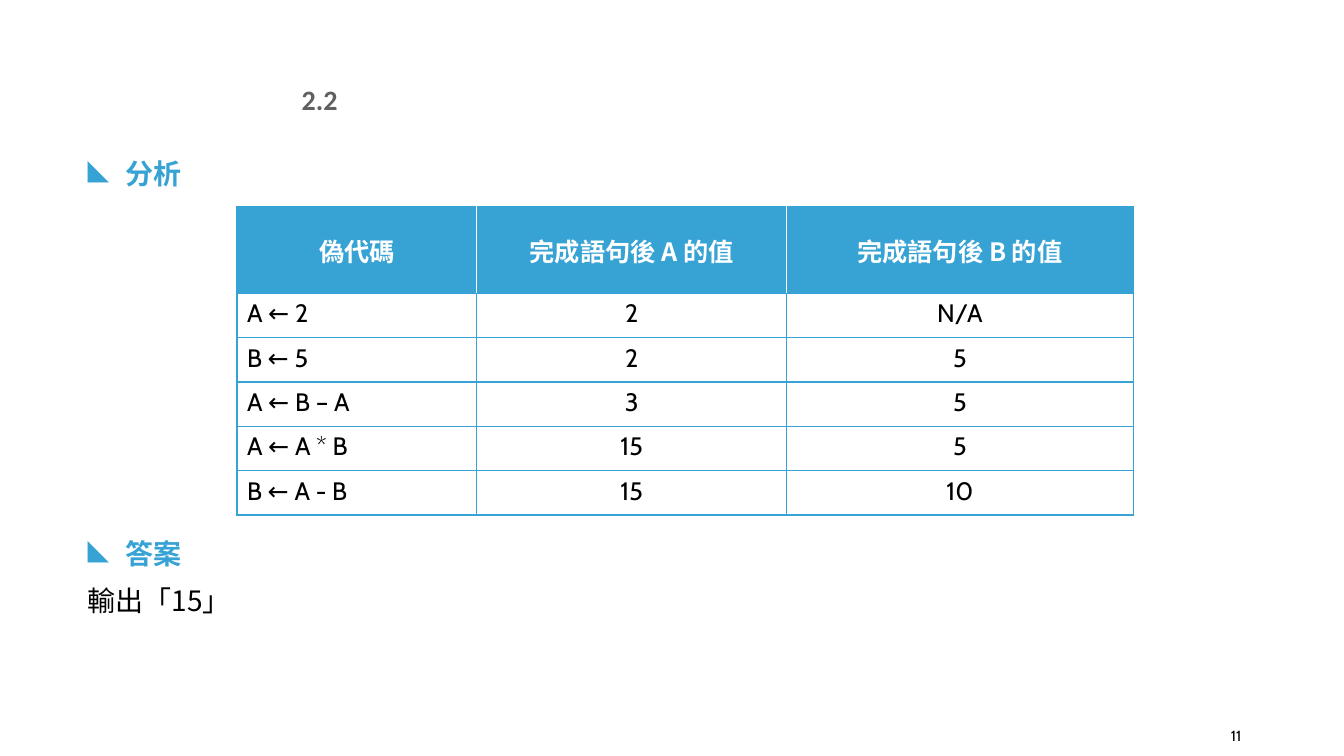
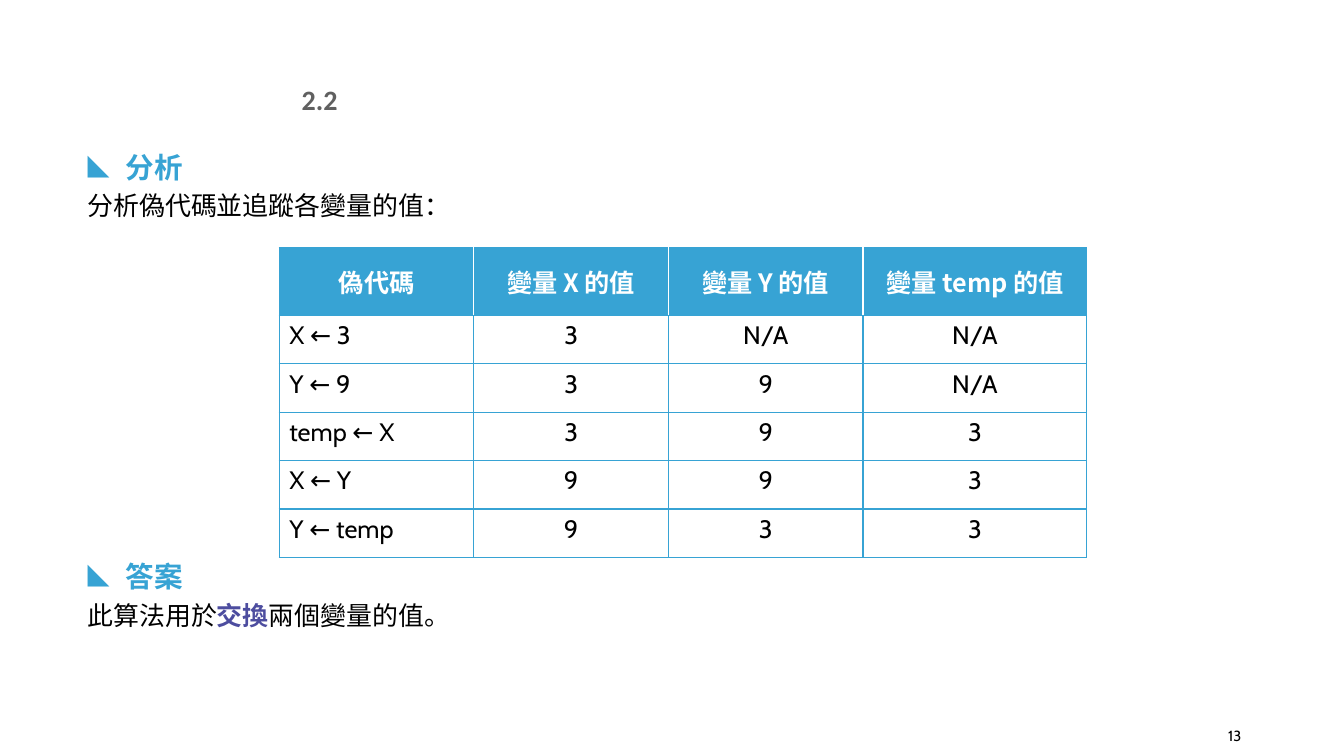
from dataclasses import dataclass

from lxml.etree import SubElement
from pptx import Presentation
from pptx.dml.color import RGBColor
from pptx.enum.text import MSO_ANCHOR, PP_ALIGN
from pptx.oxml.ns import qn
from pptx.util import Emu, Pt

EMU_PER_PX = 9144


@dataclass(frozen=True)
class Theme:
    accent: str = "37A3D4"
    highlight: str = "4D4D9F"
    ink: str = "000000"
    muted: str = "606060"
    paper: str = "FFFFFF"
    cjk: str = "Noto Sans CJK TC"
    latin: str = "Cabin"
    label: str = "Calibri"
    label_size: float = 20
    table_size: float = 18
    page_size: float = 10.5
    border: float = 1


THEME = Theme()


def px(length):
    return Emu(length * EMU_PER_PX)


def style_run(run, size, color, family, bold=False):
    run.font.size = Pt(size)
    run.font.bold = bold
    run.font.color.rgb = RGBColor.from_string(color)
    run.font.name = family
    SubElement(run.font._element, qn("a:ea"), typeface=family)


def add_run(paragraph, text, *style):
    run = paragraph.add_run()
    run.text = text
    style_run(run, *style)


def add_box(slide, left, top, width, height):
    frame = slide.shapes.add_textbox(*map(px, (left, top, width, height))).text_frame
    frame.word_wrap = True
    return frame


def add_label(slide, place, text, align, *style):
    frame = add_box(slide, *place)
    frame.vertical_anchor = MSO_ANCHOR.MIDDLE
    frame.margin_top = frame.margin_bottom = 0
    paragraph = frame.paragraphs[0]
    paragraph.alignment = align
    add_run(paragraph, text, *style)


def add_bullet(paragraph, symbol):
    properties = paragraph._p.get_or_add_pPr()
    properties.set("marL", str(px(38)))
    properties.set("indent", str(px(-38)))
    SubElement(properties, qn("a:buChar"), char=symbol)


def add_section(slide, top, heading, heading_size, body=(), body_size=20, gap=10):
    frame = add_box(slide, 77, top, 1150, 100 if body else 50)
    title = frame.paragraphs[0]
    add_bullet(title, "◣")
    add_run(title, heading, heading_size, THEME.accent, THEME.cjk, True)
    if body:
        paragraph = frame.add_paragraph()
        paragraph.space_before = Pt(gap)
        for text, emphasized in body:
            color = THEME.highlight if emphasized else THEME.ink
            add_run(paragraph, text, body_size, color, THEME.cjk, emphasized)


def set_borders(cell, colors):
    properties = cell._tc.get_or_add_tcPr()
    for index, (side, color) in enumerate(zip("LRTB", colors)):
        line = SubElement(properties, qn(f"a:ln{side}"), w=str(Pt(THEME.border)))
        fill = SubElement(line, qn("a:solidFill"))
        SubElement(fill, qn("a:srgbClr"), val=color)
        properties.remove(line)
        properties.insert(index, line)


def fill_cell(cell, text, row, column, last_column):
    header = row == 0
    cell.fill.solid()
    cell.fill.fore_color.rgb = RGBColor.from_string(THEME.accent if header else THEME.paper)
    left = THEME.paper if header and column > 0 else THEME.accent
    right = THEME.paper if header and column < last_column else THEME.accent
    set_borders(cell, (left, right, THEME.accent, THEME.accent))
    paragraph = cell.text_frame.paragraphs[0]
    if header:
        cell.vertical_anchor = MSO_ANCHOR.MIDDLE
        add_run(paragraph, text, THEME.table_size, THEME.paper, THEME.cjk, True)
    else:
        add_run(paragraph, text, THEME.table_size, THEME.ink, THEME.latin)
    if header or column > 0:
        paragraph.alignment = PP_ALIGN.CENTER


def add_trace_table(slide, left, top, widths, header_height, row_height, rows):
    heights = [header_height] + [row_height] * (len(rows) - 1)
    table = slide.shapes.add_table(
        len(rows), len(widths), px(left), px(top), px(sum(widths)), px(sum(heights))
    ).table
    table.horz_banding = False
    for column, width in zip(table.columns, widths):
        column.width = px(width)
    for row, height in zip(table.rows, heights):
        row.height = px(height)
    for r, values in enumerate(rows):
        for c, value in enumerate(values):
            fill_cell(table.cell(r, c), value, r, c, len(widths) - 1)


def add_base_slide(deck, number):
    slide = deck.slides.add_slide(deck.slide_layouts[6])
    add_label(slide, (1157, 710, 84, 40), number, PP_ALIGN.RIGHT,
              THEME.page_size, THEME.ink, THEME.latin)
    add_label(slide, (270, 83, 94, 31), "2.2", PP_ALIGN.CENTER,
              THEME.label_size, THEME.muted, THEME.label, True)
    return slide


def add_output_slide(deck):
    slide = add_base_slide(deck, "11")
    add_section(slide, 150, "分析", 20)
    add_section(slide, 527, "答案", 20, [("輸出「15」", False)])
    add_trace_table(slide, 235, 205, (238, 307, 344), 86, 44, [
        ("偽代碼", "完成語句後 A 的值", "完成語句後 B 的值"),
        ("A ← 2", "2", "N/A"),
        ("B ← 5", "2", "5"),
        ("A ← B – A", "3", "5"),
        ("A ← A * B", "15", "5"),
        ("B ← A - B", "15", "10"),
    ])


def add_swap_slide(deck):
    slide = add_base_slide(deck, "13")
    add_section(slide, 144, "分析", 20.4, [("分析偽代碼並追蹤各變量的值：", False)], 18.5, 4)
    add_section(slide, 550, "答案", 20.4, [
        ("此算法用於", False), ("交換", True), ("兩個變量的值。", False),
    ], 18.5, 4)
    add_trace_table(slide, 277, 246, (193, 193, 193, 222), 67, 48, [
        ("偽代碼", "變量 X 的值", "變量 Y 的值", "變量 temp 的值"),
        ("X ← 3", "3", "N/A", "N/A"),
        ("Y ← 9", "3", "9", "N/A"),
        ("temp ← X", "3", "9", "3"),
        ("X ← Y", "9", "9", "3"),
        ("Y ← temp", "9", "3", "3"),
    ])


def main():
    deck = Presentation()
    deck.slide_width, deck.slide_height = px(1333), px(750)
    add_output_slide(deck)
    add_swap_slide(deck)
    deck.save("out.pptx")


if __name__ == "__main__":
    main()
